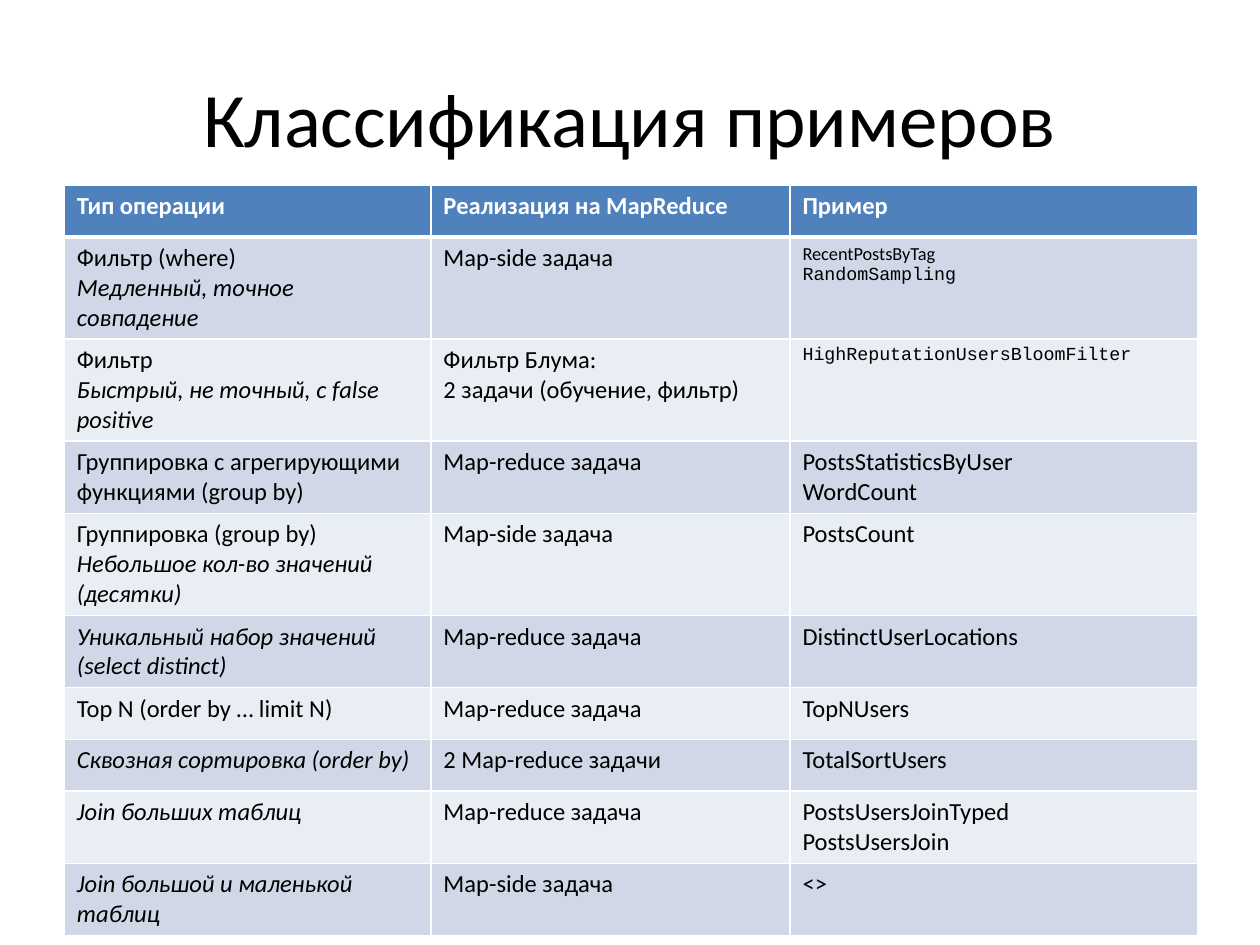
from dataclasses import dataclass

from lxml import etree
from pptx import Presentation
from pptx import util as u
from pptx.dml.color import RGBColor
from pptx.enum import text
from pptx.oxml import ns

BLACK = RGBColor(0x00, 0x00, 0x00)
WHITE = RGBColor(0xFF, 0xFF, 0xFF)
HEADER_BLUE = RGBColor(0x4F, 0x81, 0xBD)
BANDS = (RGBColor(0xD0, 0xD8, 0xE8), RGBColor(0xE9, 0xED, 0xF4))


@dataclass
class Line:
    """One paragraph of a table cell."""
    words: str
    italic: bool = False
    size: float = 14
    font: str = "Calibri"


def note(words):
    """A line in italics."""
    return Line(words, italic=True)


HEADERS = ("Тип операции", "Реализация на MapReduce", "Пример")
COLUMN_WIDTHS = (2.91, 2.85, 3.24)
ROW_HEIGHT = 0.41

# Each row: operation, implementation, example; each cell is a list of lines.
OPERATIONS = [
    (["Фильтр (where)", note("Медленный, точное совпадение")],
     ["Map-side задача"],
     [Line("RecentPostsByTag", size=10.5),
      Line("RandomSampling", size=10.5, font="Courier New")]),
    (["Фильтр", note("Быстрый, не точный, с false positive")],
     ["Фильтр Блума:", "2 задачи (обучение, фильтр)"],
     [Line("HighReputationUsersBloomFilter", size=10.5, font="Courier New")]),
    (["Группировка с агрегирующими функциями (group by)"],
     ["Map-reduce задача"],
     ["PostsStatisticsByUser", "WordCount"]),
    (["Группировка (group by)", note("Небольшое кол-во значений (десятки)")],
     ["Map-side задача"],
     ["PostsCount"]),
    ([note("Уникальный набор значений (select distinct)")],
     ["Map-reduce задача"],
     ["DistinctUserLocations"]),
    (["Top N (order by … limit N)"],
     ["Map-reduce задача"],
     ["TopNUsers"]),
    ([note("Сквозная сортировка (order by)")],
     ["2 Map-reduce задачи"],
     ["TotalSortUsers"]),
    ([note("Join больших таблиц")],
     ["Map-reduce задача"],
     ["PostsUsersJoinTyped", "PostsUsersJoin"]),
    ([note("Join большой и маленькой таблиц")],
     ["Map-side задача"],
     ["<>"]),
]


class SlideBuilder:
    font = "Calibri"
    title_size = 44

    def __init__(self, deck):
        self.slide = deck.slides.add_slide(deck.slide_layouts[5])

    def title(self, words, left, top, width, height):
        box = self.slide.shapes.title
        box.left, box.top = u.Inches(left), u.Inches(top)
        box.width, box.height = u.Inches(width), u.Inches(height)
        frame = box.text_frame
        frame.text = words
        frame.vertical_anchor = text.MSO_ANCHOR.MIDDLE
        para = frame.paragraphs[0]
        para.alignment = text.PP_ALIGN.CENTER
        self.style(para, Line(words, size=self.title_size, font=self.font), BLACK)

    def style(self, para, line, color, bold=False):
        for span in para.runs:
            span.font.name = line.font
            span.font.size = u.Pt(line.size)
            span.font.italic = line.italic
            span.font.bold = bold
            span.font.color.rgb = color

    def table(self, headers, rows, left, top, widths, row_height):
        frame = self.slide.shapes.add_table(
            len(rows) + 1, len(widths), u.Inches(left), u.Inches(top),
            u.Inches(sum(widths)), u.Inches(row_height * (len(rows) + 1)))
        table = frame.table
        for column, width in zip(table.columns, widths):
            column.width = u.Inches(width)
        for row in table.rows:
            row.height = u.Inches(row_height)
        for index, words in enumerate(headers):
            self.cell(table.cell(0, index), [words], HEADER_BLUE, WHITE,
                      bold=True, bottom=3)
        for number, row in enumerate(rows, start=1):
            fill = BANDS[(number - 1) % len(BANDS)]
            for index, lines in enumerate(row):
                self.cell(table.cell(number, index), lines, fill, BLACK,
                          above=3 if number == 1 else 1)

    def cell(self, cell, lines, fill, color, bold=False, above=1, bottom=1):
        lines = [Line(line) if isinstance(line, str) else line for line in lines]
        cell.text_frame.text = "\n".join(line.words for line in lines)
        for para, line in zip(cell.text_frame.paragraphs, lines):
            self.style(para, line, color, bold)
        self.borders(cell, {"lnL": 1, "lnR": 1, "lnT": above, "lnB": bottom})
        cell.fill.solid()
        cell.fill.fore_color.rgb = fill

    def borders(self, cell, widths):
        properties = cell._tc.get_or_add_tcPr()
        for tag, points in widths.items():
            edge = etree.SubElement(properties, ns.qn(f"a:{tag}"), w=str(u.Pt(points)))
            paint = etree.SubElement(edge, ns.qn("a:solidFill"))
            etree.SubElement(paint, ns.qn("a:srgbClr"), val=str(WHITE))


def main():
    deck = Presentation()
    deck.slide_width, deck.slide_height = u.Inches(10), u.Inches(7.5)
    page = SlideBuilder(deck)
    page.title("Классификация примеров", 0.5, 0.3, 9, 1.25)
    page.table(HEADERS, OPERATIONS, 0.51, 1.47, COLUMN_WIDTHS, ROW_HEIGHT)
    deck.save("out.pptx")


if __name__ == "__main__":
    main()
